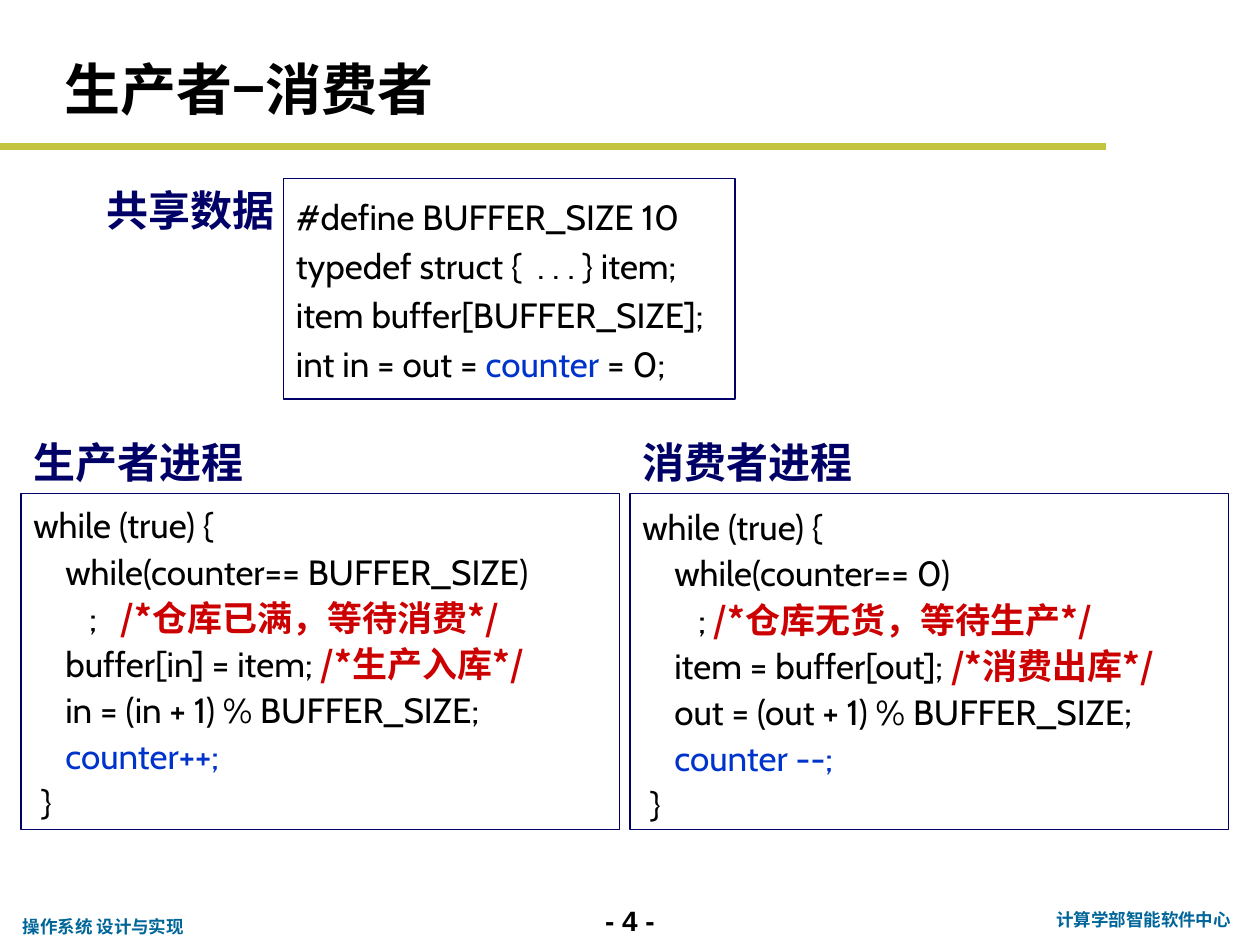
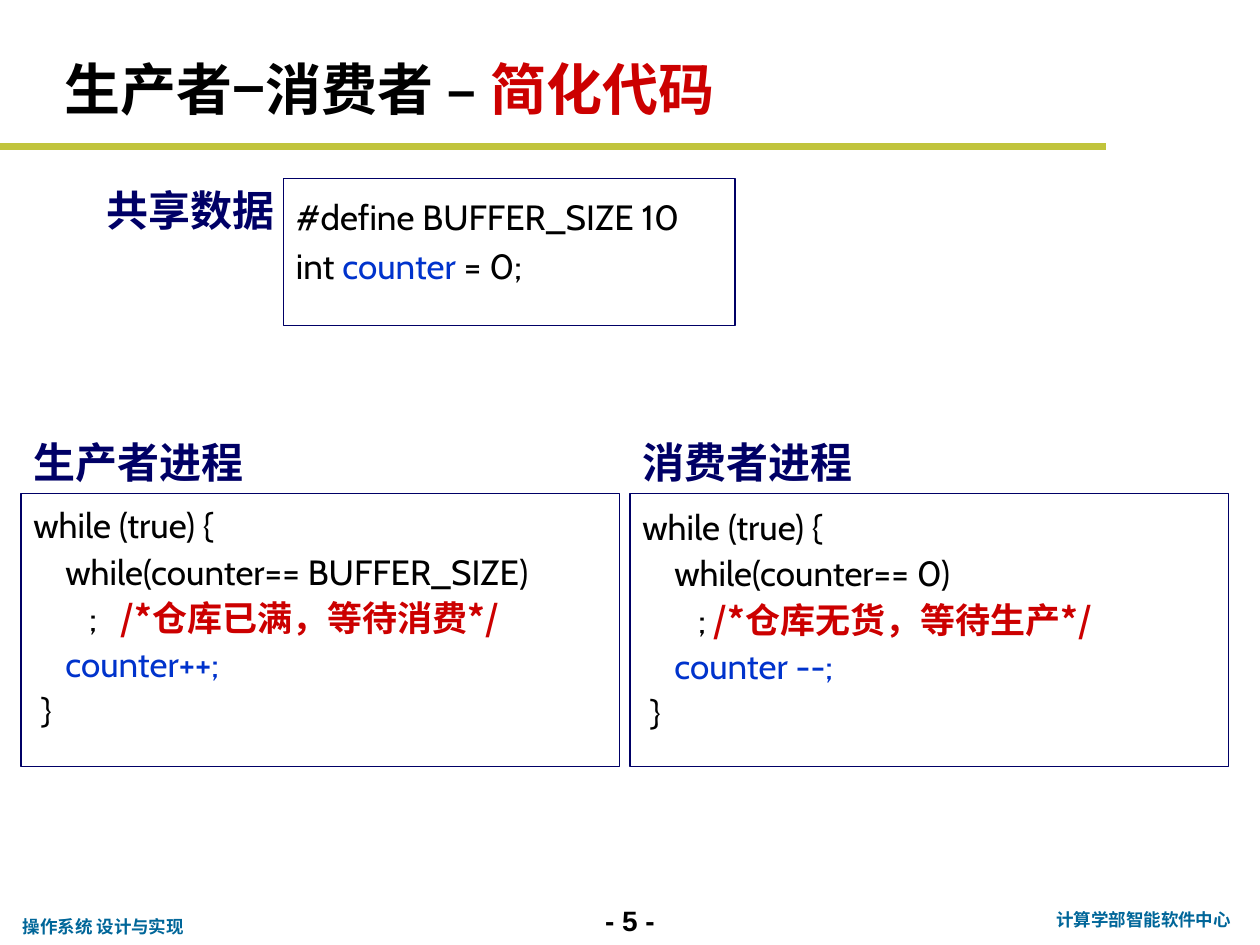
from pptx import Presentation, util as u
from pptx.dml.color import RGBColor
from pptx.enum import shapes, text
from pptx.oxml.ns import qn
from lxml import etree

Pt = u.Pt
NAVY, BLUE, RED, BLACK, WHITE = "000066", "0033CC", "CC0000", "000000", "FFFFFF"
LIME, TEAL = "C1C43C", "006699"
CJK = "Noto Sans CJK SC"
SPACE = 4.57

STYLES = {
    "title": {"name": "Arial", "size": 32, "color": BLACK, "bold": True},
    "accent": {"name": "Arial", "size": 32, "color": RED, "bold": True},
    "heading": {"name": "Arial", "size": 24, "color": NAVY, "bold": True},
    "code": {"name": "Cabin", "size": 20, "color": BLACK, "bold": False},
    "spaced": {"name": "Cabin", "size": 20, "color": BLACK, "bold": False, "spacing": SPACE},
    "counter": {"name": "Cabin", "size": 20, "color": BLUE, "bold": False},
    "note": {"name": CJK, "size": 20, "color": RED, "bold": True},
    "number": {"name": "Arial", "size": 16, "color": BLACK, "bold": True},
    "footer": {"name": "Roboto", "size": 10, "color": TEAL, "bold": True},
}


def rgb(value):
    """Turn a hex string into a colour."""
    return RGBColor.from_string(value)


class Deck:
    """Holds the shared style and the current slide."""

    def __init__(self):
        """Start an empty 10 by 7.5 inch presentation."""
        self.prs = Presentation()
        self.prs.slide_width, self.prs.slide_height = Pt(720), Pt(540)

    def new_slide(self, number, title):
        """Add a slide with its title, rule and footers."""
        self.slide = self.prs.slides.add_slide(self.prs.slide_layouts[6])
        centre = {"alignment": text.PP_ALIGN.CENTER}
        self.label((324, 513, 72, 27), [(0, [(f"- {number} -", "number")])], centre)
        self.rule((0, 84), (632, 84), LIME, 4)
        self.label((594, 516, 119, 19), [(0, [("计算学部智能软件中心", "footer")])], centre)
        self.label((6, 520, 108, 19), [(0, [("操作系统 设计与实现", "footer")])], wrap=False)
        self.label((30, 24, 618, 53), [(0, title)], anchor=text.MSO_ANCHOR.MIDDLE)

    def rule(self, start, end, color, width):
        """Draw a straight line without a shadow."""
        line = self.slide.shapes.add_connector(
            shapes.MSO_CONNECTOR.STRAIGHT, *map(Pt, start + end))
        line.line.color.rgb = rgb(color)
        line.line.width = Pt(width)
        etree.SubElement(line._element.spPr, qn("a:effectLst"))

    def frame(self, box):
        """Draw a white rectangle with a navy outline."""
        frame = self.slide.shapes.add_shape(shapes.MSO_SHAPE.RECTANGLE, *map(Pt, box))
        frame.shadow.inherit = False
        frame.fill.solid()
        frame.fill.fore_color.rgb = rgb(WHITE)
        frame.line.color.rgb = rgb(NAVY)
        frame.line.width = Pt(0.75)

    def label(self, box, lines, layout=None, wrap=True, anchor=text.MSO_ANCHOR.TOP):
        """Add lines of text, each a left margin and its styled runs."""
        body = self.slide.shapes.add_textbox(*map(Pt, box)).text_frame
        body.word_wrap, body.vertical_anchor = wrap, anchor
        for index, (margin, runs) in enumerate(lines):
            line = body.add_paragraph() if index else body.paragraphs[0]
            for key, value in (layout or {}).items():
                setattr(line, key, value)
            if margin:
                line._p.get_or_add_pPr().set("marL", str(int(Pt(margin))))
            for words, style in runs:
                self.span(line, words, **STYLES[style])

    def span(self, line, words, name, size, color, bold, spacing=0):
        """Add one run in a given style."""
        run = line.add_run()
        run.text = words
        for key, value in {"name": name, "size": Pt(size), "bold": bold}.items():
            setattr(run.font, key, value)
        run.font.color.rgb = rgb(color)
        props = run._r.get_or_add_rPr()
        etree.SubElement(props, qn("a:ea")).set("typeface", CJK)
        if spacing:
            props.set("spc", str(round(spacing * 100)))

    def heading(self, box, words):
        """Add a navy heading."""
        self.label(box, [(0, [(words, "heading")])])

    def shared_data(self, height, lines):
        """Show the shared declarations in their frame."""
        self.frame((162, 102, 258, height))
        self.label((54, 108, 420, height - 9), [(108, runs) for runs in lines],
                   {"space_before": Pt(4)})
        self.heading((54, 102, 150, 36), "共享数据")

    def process(self, left, top, width, height, name, loop):
        """Show one process as a heading over a framed loop."""
        self.frame((left, 282, 342, height))
        lines = [(0, [("while (true) {", "code")]), *loop, (1, [("}", "code")])]
        self.label((left, top, width, height),
                   [(spaces * SPACE, runs) for spaces, runs in lines], {"line_spacing": 1.1})
        self.heading((left, 246, 204, 36), name)

    def processes(self, height, producer_work=(), consumer_work=()):
        """Show producer and consumer side by side."""
        self.process(12, 282, 330, height, "生产者进程", [
            (4, [("while(counter== BUFFER_SIZE)", "code")]),
            (7, [("; ", "spaced"), ("/*仓库已满，等待消费*/", "note")]),
            *producer_work,
            (4, [("counter++;", "counter")])])
        self.process(360, 283, 360, height, "消费者进程", [
            (4, [("while(counter== 0)", "code")]),
            (7, [("; ", "code"), ("/*仓库无货，等待生产*/", "note")]),
            *consumer_work,
            (4, [("counter --;", "counter")])])


def main():
    """Build both slides."""
    deck = Deck()
    define = [("#define BUFFER_SIZE 10", "code")]
    counter_zero = [("counter", "counter"), (" = 0;", "code")]

    deck.new_slide(4, [("生产者−消费者", "title")])
    deck.shared_data(126, [
        define,
        [("typedef struct {  . . . } item;", "code")],
        [("item buffer[BUFFER_SIZE];", "code")],
        [("int in = out = ", "code"), *counter_zero]])
    deck.processes(
        192,
        [(4, [("buffer[in] = item; ", "code"), ("/*生产入库*/", "note")]),
         (4, [("in = (in + 1) % BUFFER_SIZE;", "code")])],
        [(4, [("item = buffer[out]; ", "code"), ("/*消费出库*/", "note")]),
         (4, [("out = (out + 1) % BUFFER_SIZE;", "code")])])

    deck.new_slide(5, [("生产者−消费者 – ", "title"), ("简化代码", "accent")])
    deck.shared_data(84, [define, [("int ", "code"), *counter_zero]])
    deck.processes(156)

    deck.prs.save("out.pptx")


if __name__ == "__main__":
    main()
